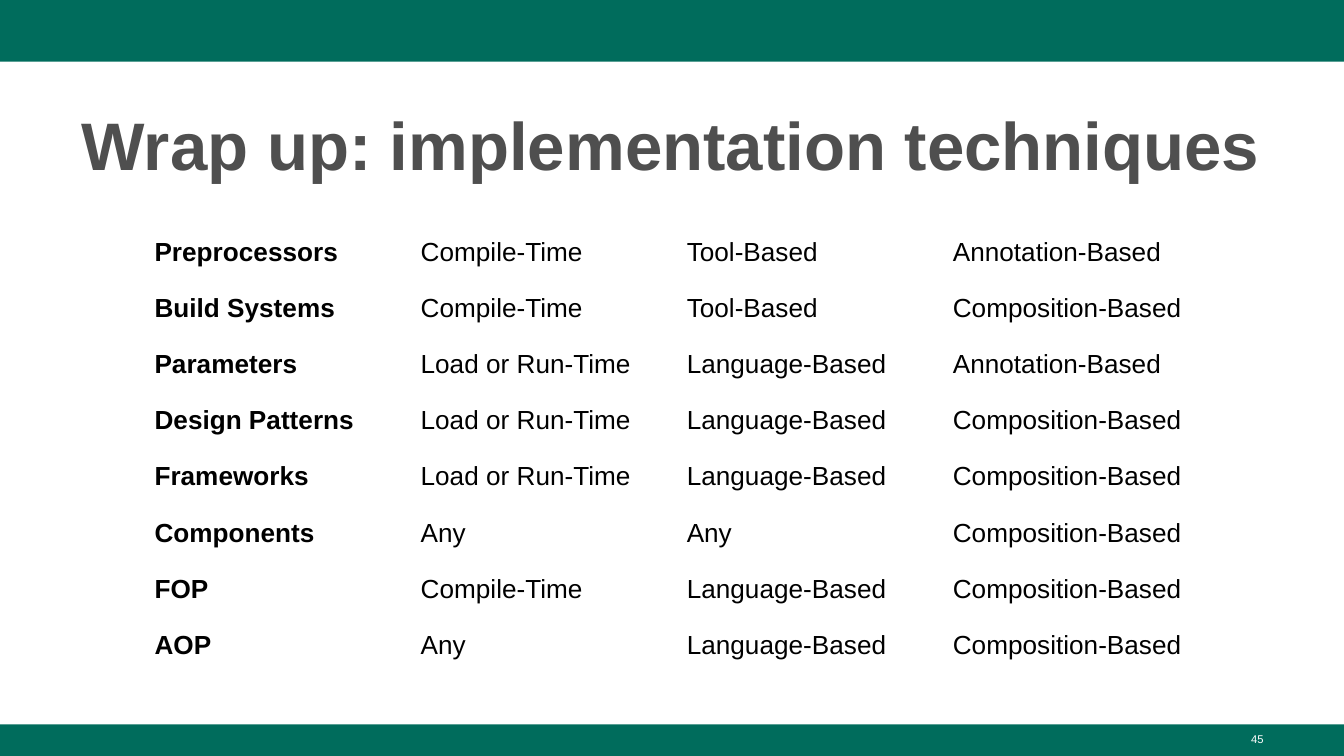
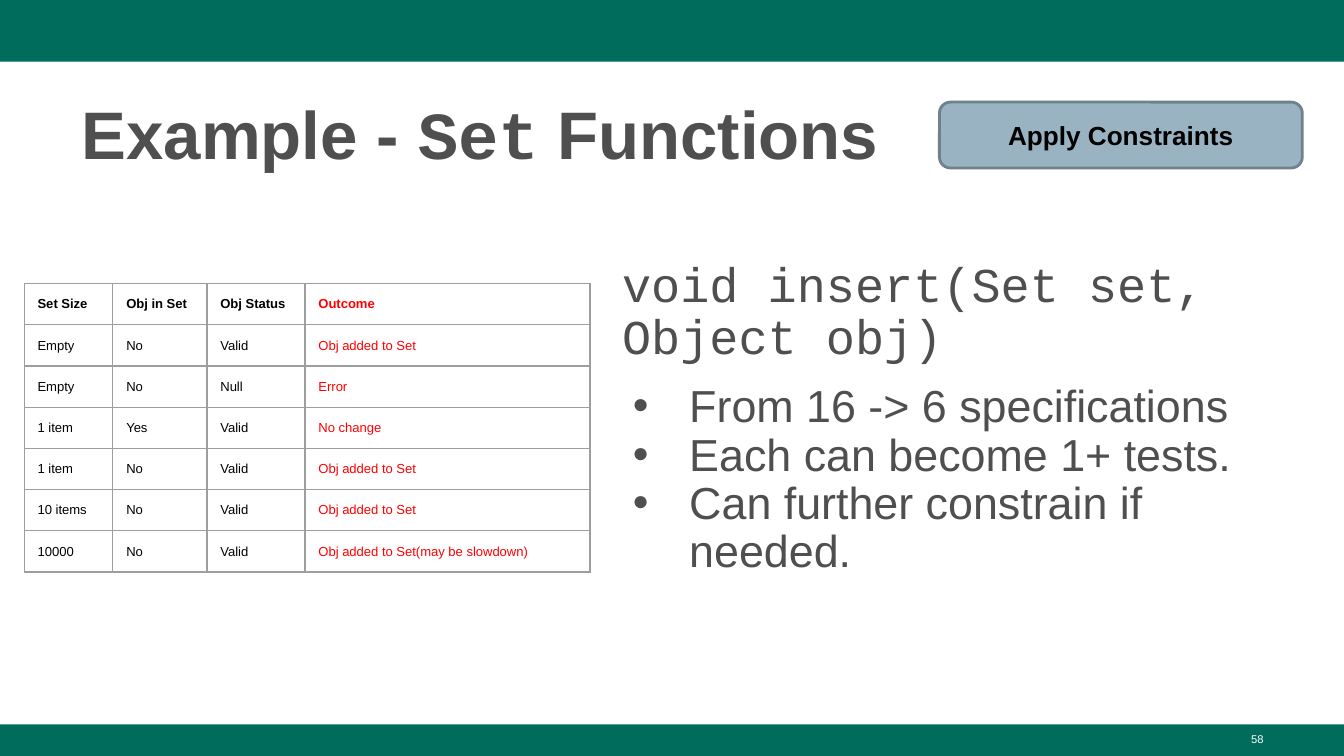
import lxml.etree
import pptx
import pptx.dml.color
import pptx.enum.shapes
import pptx.enum.text
import pptx.oxml.ns
import pptx.util

Inches = pptx.util.Inches
Pt = pptx.util.Pt
qn = pptx.oxml.ns.qn
SHAPE = pptx.enum.shapes.MSO_SHAPE
ALIGN = pptx.enum.text.PP_ALIGN
ANCHOR = pptx.enum.text.MSO_ANCHOR

WIDTH = 10
HEIGHT = WIDTH * 9 / 16
SANS, MONO = "Arial", "Courier New"
COLORS = {
    "band": "006C5C",
    "title": "4F4F4F",
    "text": "000000",
    "white": "FFFFFF",
    "outcome": "FF0000",
    "tag": "99B3C2",
    "tag_line": "6F828C",
    "grid": "9E9E9E",
}
STYLES = {
    "title": {"size": Pt(36), "bold": True, "color": "title"},
    "number": {"size": Pt(6), "color": "white"},
    "code": {"size": Pt(26), "name": MONO, "color": "title"},
    "bullet": {"size": Pt(24), "color": "title"},
    "tag": {"size": Pt(14), "bold": True},
    "technique": {"size": Pt(14)},
    "spec": {"size": Pt(7)},
}
DEFAULTS = {"name": SANS, "bold": False, "color": "text"}

TECHNIQUES = [
    ("Preprocessors", "Compile-Time", "Tool-Based", "Annotation-Based"),
    ("Build Systems", "Compile-Time", "Tool-Based", "Composition-Based"),
    ("Parameters", "Load or Run-Time", "Language-Based", "Annotation-Based"),
    ("Design Patterns", "Load or Run-Time", "Language-Based", "Composition-Based"),
    ("Frameworks", "Load or Run-Time", "Language-Based", "Composition-Based"),
    ("Components", "Any", "Any", "Composition-Based"),
    ("FOP", "Compile-Time", "Language-Based", "Composition-Based"),
    ("AOP", "Any", "Language-Based", "Composition-Based"),
]
SPECS = [
    ("Set Size", "Obj in Set", "Obj Status", "Outcome"),
    ("Empty", "No", "Valid", "Obj added to Set"),
    ("Empty", "No", "Null", "Error"),
    ("1 item", "Yes", "Valid", "No change"),
    ("1 item", "No", "Valid", "Obj added to Set"),
    ("10 items", "No", "Valid", "Obj added to Set"),
    ("10000", "No", "Valid", "Obj added to Set(may be slowdown)"),
]
BULLETS = [
    "From 16 -> 6 specifications",
    "Each can become 1+ tests.",
    "Can further constrain if needed.",
]


def rgb(key):
    return pptx.dml.color.RGBColor.from_string(COLORS[key])


def add_run(p, text, style, **changes):
    r = p.add_run()
    r.text = text
    for key, value in {**DEFAULTS, **STYLES[style], **changes}.items():
        if key == "color":
            r.font.color.rgb = rgb(value)
        else:
            setattr(r.font, key, value)


def format_paragraph(p, **values):
    for key, value in values.items():
        setattr(p, key, value)


def add_text_box(s, box):
    tf = s.shapes.add_textbox(*map(Inches, box)).text_frame
    tf.word_wrap = True
    return tf


def add_filled(s, kind, box, fill):
    sp = s.shapes.add_shape(kind, *map(Inches, box))
    sp.shadow.inherit = False
    sp.fill.solid()
    sp.fill.fore_color.rgb = rgb(fill)
    sp.line.fill.background()
    return sp


def add_bands(s, number):
    for top, height in ((0, 0.46), (5.39, HEIGHT - 5.39)):
        add_filled(s, SHAPE.RECTANGLE, (0, top, WIDTH, height), "band")
    p = add_text_box(s, (7.17, 5.4, 2.33, 0.23)).paragraphs[0]
    p.alignment = ALIGN.RIGHT
    add_run(p, number, "number")


def add_title(s, box, parts):
    p = add_text_box(s, box).paragraphs[0]
    p.line_spacing = 1.08
    for text, font in parts:
        add_run(p, text, "title", name=font)


def add_borders(cell, color, width):
    tc_pr = cell._tc.get_or_add_tcPr()
    for i, side in enumerate(("lnL", "lnR", "lnT", "lnB")):
        ln = lxml.etree.Element(qn("a:" + side), w=str(Pt(width)))
        fill = lxml.etree.SubElement(ln, qn("a:solidFill"))
        lxml.etree.SubElement(fill, qn("a:srgbClr"), val=COLORS[color])
        tc_pr.insert(i, ln)


def add_grid(s, left, top, widths, height, rows, style, look, bottom, grid=None):
    frame = s.shapes.add_table(
        len(rows), len(widths), Inches(left), Inches(top),
        Inches(sum(widths)), Inches(height))
    table = frame.table
    table.first_row = table.horz_banding = False
    margins = {"left": 0.1, "right": 0.1, "top": 0.1, "bottom": bottom}
    for column, width in zip(table.columns, widths):
        column.width = Inches(width)
    for i, values in enumerate(rows):
        table.rows[i].height = Inches(height / len(rows))
        for j, text in enumerate(values):
            cell = table.cell(i, j)
            cell.fill.background()
            for side, margin in margins.items():
                setattr(cell, "margin_" + side, Inches(margin))
            if grid:
                add_borders(cell, grid, 0.75)
            add_run(cell.text_frame.paragraphs[0], text, style, **look(i, j))


def technique_look(row, column):
    return {"bold": column == 0}


def spec_look(row, column):
    return {"bold": row == 0, "color": "outcome" if column == 3 else "text"}


def add_bullet(p):
    p_pr = p._p.get_or_add_pPr()
    p_pr.set("marL", str(Inches(0.5)))
    p_pr.set("indent", str(Inches(-0.42)))
    color = lxml.etree.SubElement(p_pr, qn("a:buClr"))
    lxml.etree.SubElement(color, qn("a:srgbClr"), val=COLORS["title"])
    lxml.etree.SubElement(p_pr, qn("a:buFont"), typeface=SANS)
    lxml.etree.SubElement(p_pr, qn("a:buChar"), char="•")


def add_signature(s, box):
    tf = add_text_box(s, box)
    p = tf.paragraphs[0]
    format_paragraph(p, line_spacing=0.9, space_before=Pt(0))
    add_run(p, "void insert(Set set, Object obj)", "code")
    for i, text in enumerate(BULLETS):
        p = tf.add_paragraph()
        add_bullet(p)
        format_paragraph(p, line_spacing=0.9, space_before=Pt(0 if i else 10))
        add_run(p, text, "bullet")


def add_tag(s, box, text):
    sp = add_filled(s, SHAPE.ROUNDED_RECTANGLE, box, "tag")
    sp.line.color.rgb = rgb("tag_line")
    sp.line.width = Pt(1.5)
    tf = sp.text_frame
    tf.word_wrap = True
    tf.vertical_anchor = ANCHOR.MIDDLE
    p = tf.paragraphs[0]
    p.alignment = ALIGN.CENTER
    add_run(p, text, "tag")


def build_techniques(s):
    add_bands(s, "45")
    add_title(s, (0.51, 0.67, 8.99, 0.73),
              [("Wrap up: implementation techniques", SANS)])
    add_grid(s, 1.05, 1.67, [1.98] * 4, 3.34, TECHNIQUES,
             "technique", technique_look, bottom=0.08)


def build_set_example(s):
    add_bands(s, "58")
    add_title(s, (0.51, 0.59, 8.99, 0.81),
              [("Example - ", SANS), ("Set", MONO), (" Functions", SANS)])
    add_signature(s, (4.53, 1.89, 5.19, 1.04))
    add_tag(s, (6.99, 0.76, 2.7, 0.49), "Apply Constraints")
    add_grid(s, 0.18, 2.11, [0.66, 0.7, 0.73, 2.12], 2.05, SPECS,
             "spec", spec_look, bottom=0.09, grid="grid")


def main():
    prs = pptx.Presentation()
    prs.slide_width = Inches(WIDTH)
    prs.slide_height = Inches(HEIGHT)
    for build in (build_techniques, build_set_example):
        build(prs.slides.add_slide(prs.slide_layouts[6]))
    prs.save("out.pptx")


if __name__ == "__main__":
    main()
